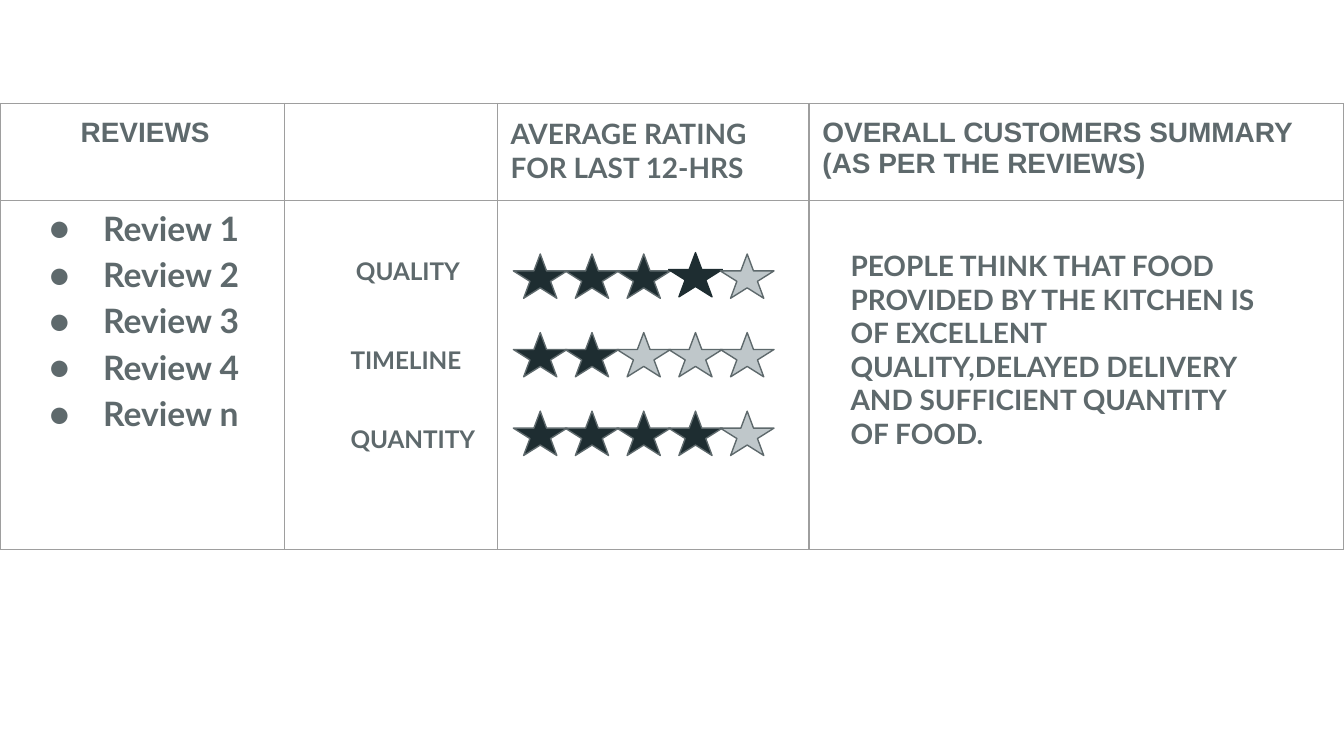
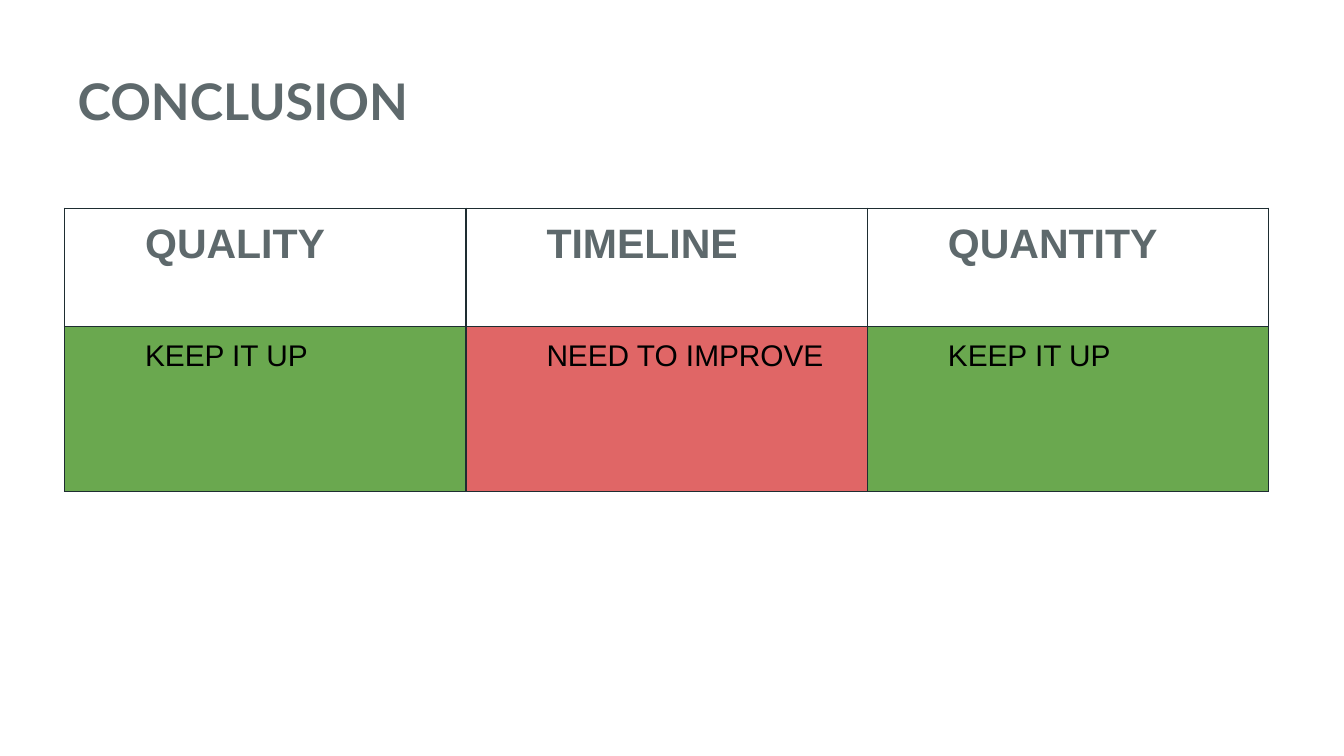
from dataclasses import dataclass

from lxml.etree import SubElement
from pptx import Presentation
from pptx.dml.color import RGBColor
from pptx.enum.shapes import MSO_SHAPE as Preset
from pptx.enum.text import MSO_ANCHOR as Anchor
from pptx.oxml.ns import qn
from pptx.util import Inches, Pt


@dataclass(frozen=True)
class Theme:
    # Colours
    slate: str = "5E696C"
    dark: str = "1E2D31"
    pale: str = "BFC7CA"
    grid: str = "9E9E9E"
    black: str = "000000"
    good: str = "6AA84F"
    bad: str = "E06666"
    # Fonts
    main_font: str = "Lato"
    table_font: str = "Arial"
    # Type sizes
    title: int = 27
    heading: int = 22
    bullet: int = 18
    verdict: int = 16
    body: int = 15
    label: int = 13
    # Lengths
    inset: float = 0.1
    indent: float = 0.5
    hanging: float = -0.4
    line: float = 0.75


class Deck:
    def __init__(self, theme):
        self.theme = theme
        self.presentation = Presentation()
        self.presentation.slide_width = Inches(10)
        self.presentation.slide_height = Inches(10 * 9 / 16)
        self.slide = None

    def new_slide(self):
        self.slide = self.presentation.slides.add_slide(self.presentation.slide_layouts[6])

    def style(self, paragraph, size, font=None, color=None, bold=True):
        for run in paragraph.runs:
            run.font.size = Pt(size)
            run.font.name = font or self.theme.main_font
            run.font.bold = bold
            run.font.color.rgb = RGBColor.from_string(color or self.theme.slate)

    def indent(self, paragraph, left, first=0.0):
        properties = paragraph._p.get_or_add_pPr()
        properties.set("marL", str(Inches(left)))
        properties.set("indent", str(Inches(first)))
        return properties

    def text(self, words, left, top, width, height, size):
        shape = self.slide.shapes.add_textbox(
            Inches(left), Inches(top), Inches(width), Inches(height))
        frame = shape.text_frame
        frame.word_wrap = True
        frame.vertical_anchor = Anchor.TOP
        frame.margin_left = frame.margin_right = Inches(self.theme.inset)
        frame.margin_top = frame.margin_bottom = Inches(self.theme.inset)
        frame.text = words
        for paragraph in frame.paragraphs:
            self.style(paragraph, size)
        return frame

    def bullets(self, items, left, top, width, height):
        frame = self.text("\n".join(items), left, top, width, height, self.theme.bullet)
        for paragraph in frame.paragraphs:
            paragraph.line_spacing = 1.15
            properties = self.indent(paragraph, self.theme.indent, self.theme.hanging)
            color = SubElement(properties, qn("a:buClr"))
            SubElement(color, qn("a:srgbClr"), val=self.theme.slate)
            SubElement(properties, qn("a:buFont"), typeface=self.theme.main_font)
            SubElement(properties, qn("a:buChar"), char="●")

    def star(self, left, top, fill, line):
        shape = self.slide.shapes.add_shape(
            Preset.STAR_5_POINT, Inches(left), Inches(top), Inches(0.4), Inches(0.33))
        shape.shadow.inherit = False
        shape.fill.solid()
        shape.fill.fore_color.rgb = RGBColor.from_string(fill)
        shape.line.color.rgb = RGBColor.from_string(line)
        shape.line.width = Pt(self.theme.line)

    def table(self, left, top, columns, rows, border):
        table = self.slide.shapes.add_table(
            len(rows), len(columns), Inches(left), Inches(top),
            Inches(sum(columns)), Inches(sum(rows))).table
        table.first_row = table.horz_banding = False
        for column, width in zip(table.columns, columns):
            column.width = Inches(width)
        for row, height in zip(table.rows, rows):
            row.height = Inches(height)
        for cell in table.iter_cells():
            cell.margin_left = cell.margin_right = Inches(self.theme.inset)
            cell.margin_top = cell.margin_bottom = Inches(self.theme.inset)
            self.borders(cell, border)
            cell.fill.background()
        return table

    def borders(self, cell, color):
        properties = cell._tc.get_or_add_tcPr()
        for side in ("lnL", "lnR", "lnT", "lnB"):
            line = SubElement(properties, qn(f"a:{side}"), w=str(Pt(self.theme.line)))
            fill = SubElement(line, qn("a:solidFill"))
            SubElement(fill, qn("a:srgbClr"), val=color)

    def cell(self, cell, words, size, font, indented=True, color=None, bold=True, fill=None):
        cell.text_frame.text = words
        paragraph = cell.text_frame.paragraphs[0]
        if indented:
            self.indent(paragraph, self.theme.indent)
        self.style(paragraph, size, font, color, bold)
        if fill:
            cell.fill.solid()
            cell.fill.fore_color.rgb = RGBColor.from_string(fill)


def build_reviews(deck):
    theme = deck.theme
    deck.new_slide()

    # Review list
    deck.bullets([f"Review {number}" for number in (1, 2, 3, 4, "n")], 0.17, 1.4, 2.73, 3.43)

    # Rating labels and stars
    ratings = [
        ("QUALITY", 4, 2.55, 1.81, 1.09, 0.4),
        ("TIMELINE", 2, 2.51, 2.47, 1.18, 0.22),
        ("QUANTITY", 4, 2.51, 3.06, 1.18, 0.33),
    ]
    for row, (name, score, *box) in enumerate(ratings):
        deck.text(name, *box, theme.label)
        for position in range(5):
            last_quality = name == "QUALITY" and position == score - 1
            deck.star(
                3.82 + 1.54 / 4 * position,
                1.88 if last_quality else 1.89 + 1.17 / 2 * row,
                theme.dark if position < score else theme.pale,
                theme.dark if last_quality else theme.slate)

    # Customer summary
    deck.text(
        "PEOPLE THINK THAT FOOD PROVIDED BY THE KITCHEN IS OF EXCELLENT "
        "QUALITY,DELAYED DELIVERY AND SUFFICIENT QUANTITY OF FOOD.",
        6.23, 1.75, 3.28, 1.6, theme.body)

    # Review table
    table = deck.table(0, 0.77, [2.12, 1.58, 2.32, 3.98], [0.72, 2.6], theme.grid)
    headings = [
        (0, "REVIEWS", theme.table_font, True),
        (2, "AVERAGE RATING FOR LAST 12-HRS", theme.main_font, False),
        (3, "OVERALL CUSTOMERS SUMMARY (AS PER THE REVIEWS)", theme.table_font, False),
    ]
    for column, words, font, indented in headings:
        deck.cell(table.cell(0, column), words, theme.body, font, indented)


def build_conclusion(deck):
    theme = deck.theme
    deck.new_slide()

    # Verdict table
    table = deck.table(0.48, 1.55, [8.96 / 3] * 3, [0.88, 1.23], theme.dark)
    verdicts = [
        ("QUALITY", "KEEP IT UP", theme.good),
        ("TIMELINE", "NEED TO IMPROVE", theme.bad),
        ("QUANTITY", "KEEP IT UP", theme.good),
    ]
    for column, (name, verdict, fill) in enumerate(verdicts):
        deck.cell(table.cell(0, column), name, theme.heading, theme.table_font)
        deck.cell(table.cell(1, column), verdict, theme.verdict, theme.table_font,
                  color=theme.black, bold=False, fill=fill)

    # Title
    deck.text("CONCLUSION", 0.48, 0.42, 3.4, 0.69, theme.title)


def main():
    deck = Deck(Theme())
    build_reviews(deck)
    build_conclusion(deck)
    deck.presentation.save("out.pptx")


if __name__ == "__main__":
    main()
